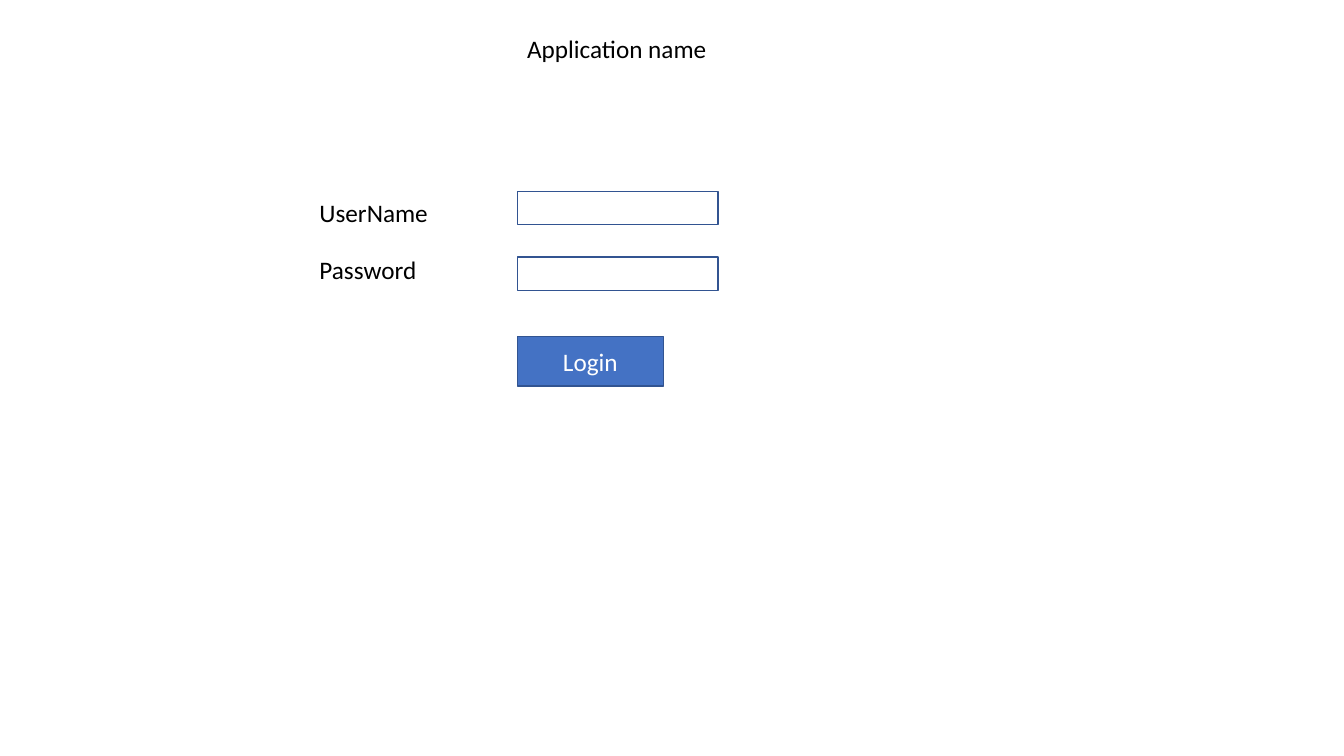
from pptx import Presentation, util as u
from pptx.dml.color import RGBColor
from pptx.enum import shapes, text

TITLE = "Application name"
FIELDS = ["UserName", "Password"]
BUTTON = "Login"
FONT, SIZE = "Calibri", 18
BLACK, WHITE, BLUE, BORDER = "000000", "FFFFFF", "4472C4", "325491"

# Form grid, in inches
LABEL_LEFT, INPUT_LEFT = 3.07, 5.13
LABEL_TOP, LABEL_STEP, LABEL_HEIGHT = 1.91, 0.56, 0.4
INPUT_TOP, INPUT_STEP = 1.9, 0.65
LABEL_WIDTH, INPUT_WIDTH, INPUT_HEIGHT = 2.0, 1.99, 0.33

prs = Presentation()
prs.slide_width, prs.slide_height = u.Inches(13.33), u.Inches(7.5)
slide = prs.slides.add_slide(prs.slide_layouts[6])


def color(value):
    return RGBColor.from_string(value)


def write(part, words, ink):
    part.text_frame.word_wrap = True
    paragraph = part.text_frame.paragraphs[0]
    paragraph.text = words
    paragraph.font.name, paragraph.font.size = FONT, u.Pt(SIZE)
    paragraph.font.color.rgb = color(ink)
    return paragraph


def add_label(words, left, top, width):
    label = slide.shapes.add_textbox(*map(u.Inches, (left, top, width, LABEL_HEIGHT)))
    write(label, words, BLACK)
    label.text_frame.auto_size = text.MSO_AUTO_SIZE.SHAPE_TO_FIT_TEXT


def add_box(top, width, height, fill=None):
    """Add a bordered rectangle in the input column, hollow unless filled."""
    box = slide.shapes.add_shape(
        shapes.MSO_SHAPE.RECTANGLE, *map(u.Inches, (INPUT_LEFT, top, width, height)))
    box.shadow.inherit = False
    box.line.color.rgb, box.line.width = color(BORDER), u.Pt(1)
    if fill:
        box.fill.solid()
        box.fill.fore_color.rgb = color(fill)
    else:
        box.fill.background()
    return box


add_label(TITLE, INPUT_LEFT, 0.28, 3.81)
for row, field in enumerate(FIELDS):
    add_label(field, LABEL_LEFT, LABEL_TOP + row * LABEL_STEP, LABEL_WIDTH)
    add_box(INPUT_TOP + row * INPUT_STEP, INPUT_WIDTH, INPUT_HEIGHT)

login = add_box(3.34, 1.45, 0.49, BLUE)
write(login, BUTTON, WHITE).alignment = text.PP_ALIGN.CENTER
login.text_frame.vertical_anchor = text.MSO_ANCHOR.MIDDLE

prs.save("out.pptx")
